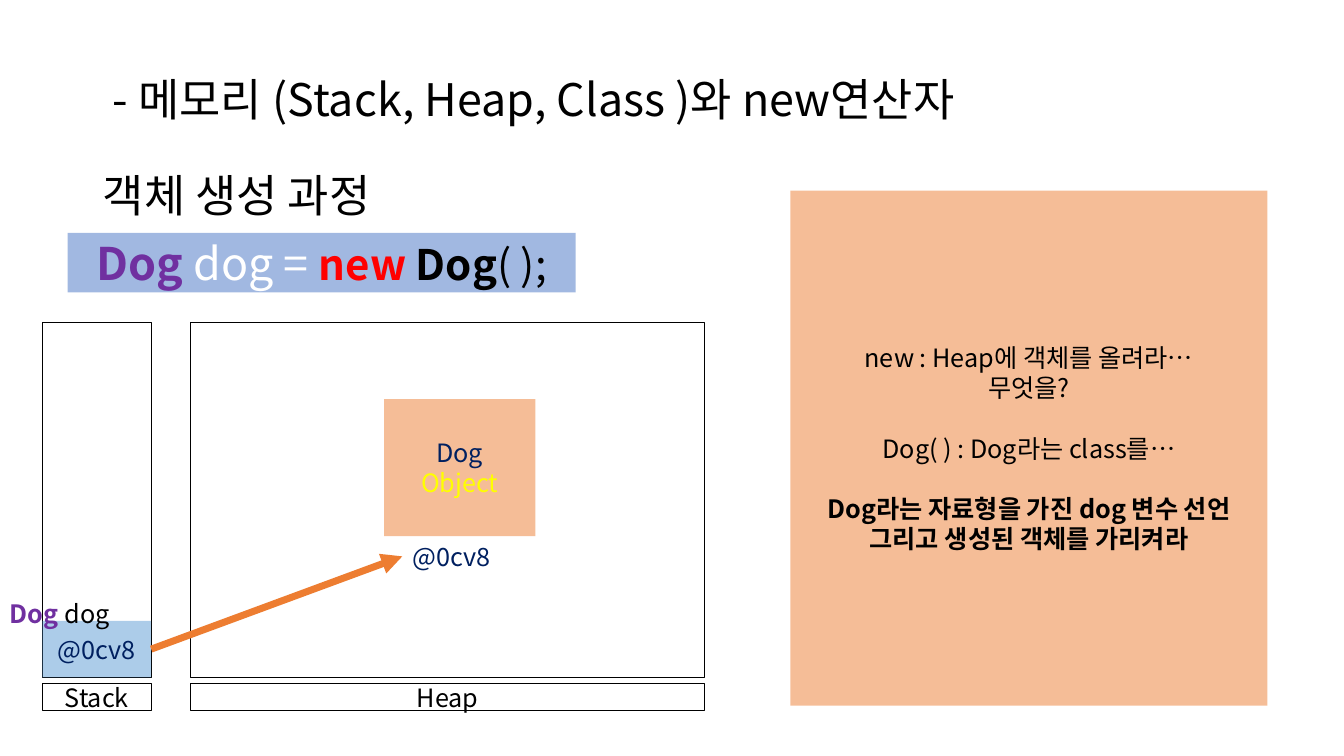
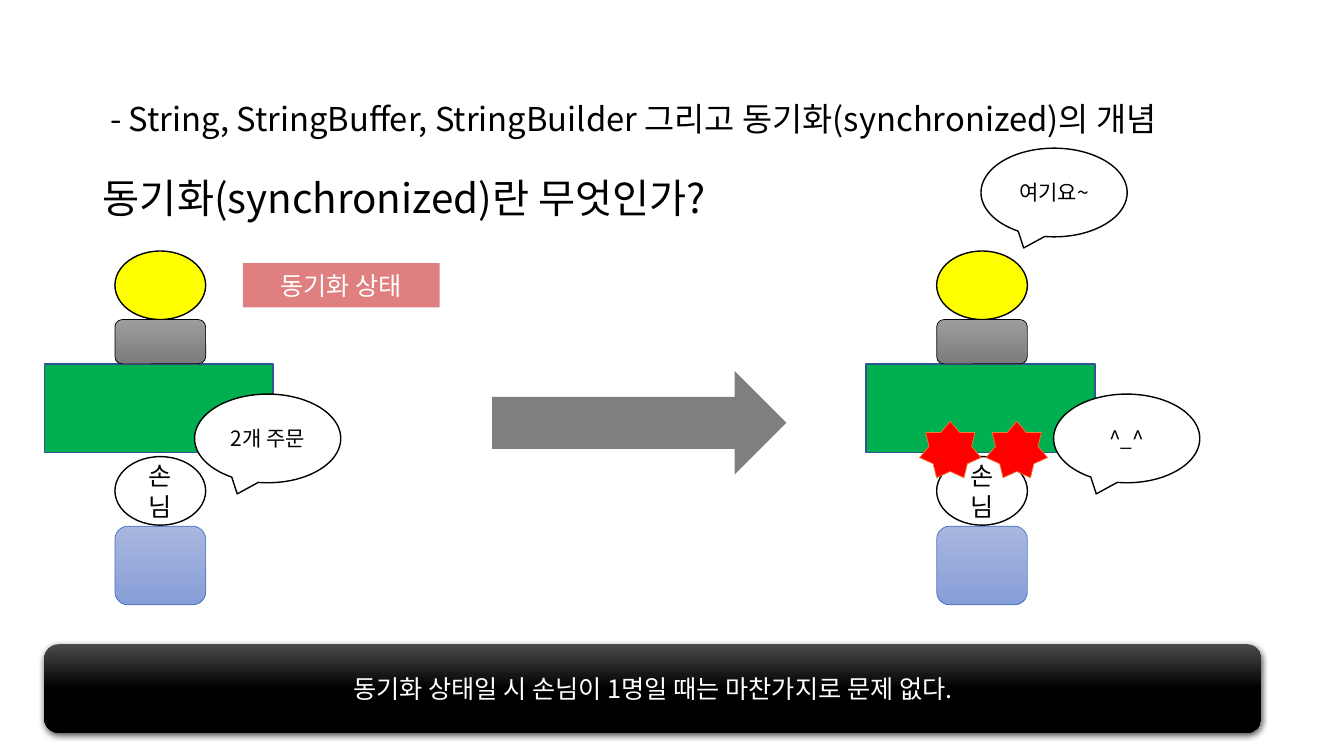
from dataclasses import dataclass

from lxml import etree
from pptx import Presentation
from pptx.dml.color import RGBColor
from pptx.enum import shapes, text
from pptx.oxml import ns
from pptx.util import Inches, Pt

SHAPE = shapes.MSO_SHAPE
LEFT, CENTER = text.PP_ALIGN.LEFT, text.PP_ALIGN.CENTER


@dataclass(frozen=True)
class Theme:
    font: str = "Noto Sans CJK KR"
    black: str = "000000"
    white: str = "FFFFFF"
    blue: str = "4472C4"
    sky: str = "5B9BD5"
    navy: str = "002060"
    purple: str = "7030A0"
    orange: str = "ED7D31"
    red: str = "FF0000"
    crimson: str = "C00000"
    yellow: str = "FFFF00"
    green: str = "00B050"
    edge: str = "325491"
    grey_fade: tuple = ("9D9D9D", "7C7C7C", 1)
    blue_fade: tuple = ("A8B7DF", "889ED7", 1)
    black_fade: tuple = ("4B4B4B", "000000", 0.5)
    title: float = 32
    code: float = 30
    heading: float = 28.8
    long_title: float = 23.4
    body: float = 18
    speech: float = 15


T = Theme()


def write(tf, paragraphs, align=CENTER, anchor=text.MSO_ANCHOR.MIDDLE):
    """Fill a frame from (space before, [(text, size, colour, bold), ...]) paragraphs."""
    tf.word_wrap = True
    tf.vertical_anchor = anchor
    for i, (gap, runs) in enumerate(paragraphs):
        p = tf.paragraphs[0] if i == 0 else tf.add_paragraph()
        p.alignment = align
        p.space_before = Pt(gap)
        for words, size, color, bold in runs:
            r = p.add_run()
            r.text = words
            r.font.size, r.font.bold, r.font.name = Pt(size), bold, T.font
            r.font.color.rgb = RGBColor.from_string(color)
            etree.SubElement(r.font._element, ns.qn("a:ea"), typeface=T.font)


def add_box(s, kind, at, fill=None, line=None, paragraphs=(), half=False):
    """Add a shape; fill is a colour or a fade, line is (colour, points)."""
    sp = s.shapes.add_shape(kind, *map(Inches, at))
    sp.shadow.inherit = False
    if fill is None:
        sp.fill.background()
    elif isinstance(fill, tuple):
        sp.fill.gradient()
        sp.fill.gradient_angle = 270
        start, end = sp.fill.gradient_stops
        start.color.rgb = RGBColor.from_string(fill[0])
        end.color.rgb = RGBColor.from_string(fill[1])
        start.position, end.position = 0, fill[2]
    else:
        sp.fill.solid()
        sp.fill.fore_color.rgb = RGBColor.from_string(fill)
    if half:
        color = sp._element.spPr.find(".//" + ns.qn("a:srgbClr"))
        etree.SubElement(color, ns.qn("a:alpha"), val="50000")
    if line:
        sp.line.color.rgb = RGBColor.from_string(line[0])
        sp.line.width = Pt(line[1])
    else:
        sp.line.fill.background()
    write(sp.text_frame, paragraphs)
    return sp


prs = Presentation()
prs.slide_width, prs.slide_height = Inches(13.33), Inches(7.5)

# Titles
titles = [
    [(0, [(" - 메모리 (Stack, Heap, Class )와 new연산자", T.title, T.black, False)]),
     (34, [("객체 생성 과정", T.title, T.black, False)])],
    [(0, [(" - String, StringBuffer, StringBuilder 그리고 동기화(synchronized)의 개념",
           T.long_title, T.black, False)]),
     (28, [("동기화(synchronized)란 무엇인가?", T.heading, T.black, False)])],
]
for paragraphs in titles:
    s = prs.slides.add_slide(prs.slide_layouts[5])
    title = s.shapes.title
    title.left, title.top, title.width, title.height = map(Inches, (0.92, 0.5, 10.78, 1.75))
    tf = title.text_frame
    tf.auto_size = text.MSO_AUTO_SIZE.NONE
    write(tf, paragraphs, LEFT, text.MSO_ANCHOR.BOTTOM)
    for p in tf.paragraphs:
        p.line_spacing = 0.9
memory, sync = prs.slides

# Memory: statement, stack and heap
add_box(memory, SHAPE.RECTANGLE, (0.67, 2.31, 5.04, 0.59), T.blue, half=True, paragraphs=[
    (0, [("Dog ", T.title, T.purple, True), ("dog = ", T.title, T.white, False),
         ("new ", T.code, T.red, True), ("Dog", T.code, T.black, True),
         ("( );", T.code, T.black, False)])])
for name, left, width in (("Stack", 0.42, 1.08), ("Heap", 1.89, 5.1)):
    add_box(memory, SHAPE.RECTANGLE, (left, 3.2, width, 3.52), line=(T.black, 0.75))
    add_box(memory, SHAPE.RECTANGLE, (left, 6.78, width, 0.27), line=(T.black, 0.75),
            paragraphs=[(0, [(name, T.body, T.black, False)])])

explanation = [
    (0, "new : Heap에 객체를 올려라…", False),
    (0, "무엇을?", False),
    (21.6, "Dog( ) : Dog라는 class를…", False),
    (21.6, "Dog라는 자료형을 가진 dog 변수 선언", True),
    (0, "그리고 생성된 객체를 가리켜라", True),
]
add_box(memory, SHAPE.RECTANGLE, (7.84, 1.89, 4.73, 5.11), T.orange, half=True,
        paragraphs=[(gap, [(words, T.body, T.black, bold)]) for gap, words, bold in explanation])
add_box(memory, SHAPE.RECTANGLE, (3.81, 3.96, 1.5, 1.36), T.orange, half=True, paragraphs=[
    (0, [("Dog", T.body, T.navy, False)]), (0, [("Object", T.body, T.yellow, False)])])

address = ("@0cv8", T.body, T.navy, False)
add_box(memory, SHAPE.RECTANGLE, (0.42, 6.16, 1.08, 0.56), T.sky, half=True,
        paragraphs=[(0, [address])])
labels = [
    ((3.99, 5.32, 1.13, 0.4), [address]),
    ((0, 5.89, 1.46, 0.4), [("Dog ", T.body, T.purple, True), ("dog", T.body, T.black, False)]),
]
for at, runs in labels:
    tb = memory.shapes.add_textbox(*map(Inches, at))
    write(tb.text_frame, [(0, runs)], LEFT, text.MSO_ANCHOR.TOP)

pointer = memory.shapes.add_connector(
    shapes.MSO_CONNECTOR.STRAIGHT, *map(Inches, (1.5, 6.44, 3.99, 5.52)))
pointer.line.color.rgb = RGBColor.from_string(T.orange)
pointer.line.width = Pt(5)
etree.SubElement(pointer.line._get_or_add_ln(), ns.qn("a:tailEnd"), type="triangle")
etree.SubElement(pointer._element.spPr, ns.qn("a:effectLst"))

# Synchronized: the counter before and after the order
outline = (T.black, 1)
for left in (0.44, 8.59):
    person = left + 0.7
    add_box(sync, SHAPE.RECTANGLE, (left, 3.61, 2.27, 0.88), T.green, (T.edge, 1))
    add_box(sync, SHAPE.OVAL, (person, 2.49, 0.9, 0.68), T.yellow, outline)
    add_box(sync, SHAPE.ROUNDED_RECTANGLE, (person, 3.17, 0.9, 0.44), T.grey_fade, (T.black, 0.5))
    add_box(sync, SHAPE.OVAL, (person, 4.53, 0.9, 0.68), T.white, outline,
            [(0, [("손님", T.body, T.black, False)])])
    add_box(sync, SHAPE.ROUNDED_RECTANGLE, (person, 5.22, 0.9, 0.78), T.blue_fade, (T.blue, 0.5))

add_box(sync, SHAPE.RECTANGLE, (2.41, 2.61, 1.95, 0.44), T.crimson, half=True,
        paragraphs=[(0, [("동기화 상태", T.body, T.white, False)])])
add_box(sync, SHAPE.RIGHT_ARROW, (4.88, 3.68, 2.92, 1.03), T.black, half=True)
for left in (9.12, 9.78):
    add_box(sync, SHAPE.STAR_7_POINT, (left, 4.18, 0.61, 0.56), T.red, (T.orange, 0.5))
for words, left, top in (("2개 주문", 1.93, 3.91), ("여기요~", 9.73, 1.47), ("^_^", 10.45, 3.91)):
    add_box(sync, SHAPE.OVAL_CALLOUT, (left, top, 1.45, 0.88), T.white, outline,
            [(0, [(words, T.speech, T.black, False)])])

summary = add_box(
    sync, SHAPE.ROUNDED_RECTANGLE, (0.44, 6.39, 12.07, 0.88), T.black_fade,
    paragraphs=[(0, [("동기화 상태일 시 손님이 1명일 때는 마찬가지로 문제 없다.", T.body, T.white, False)])])
effects = summary._element.spPr.find(ns.qn("a:effectLst"))
shadow = etree.SubElement(effects, ns.qn("a:outerShdw"), blurRad=str(Pt(4.5)), dist=str(Pt(1.5)),
                          dir="5400000", algn="ctr", rotWithShape="0")
color = etree.SubElement(shadow, ns.qn("a:srgbClr"), val=T.black)
etree.SubElement(color, ns.qn("a:alpha"), val="63000")

prs.save("out.pptx")
